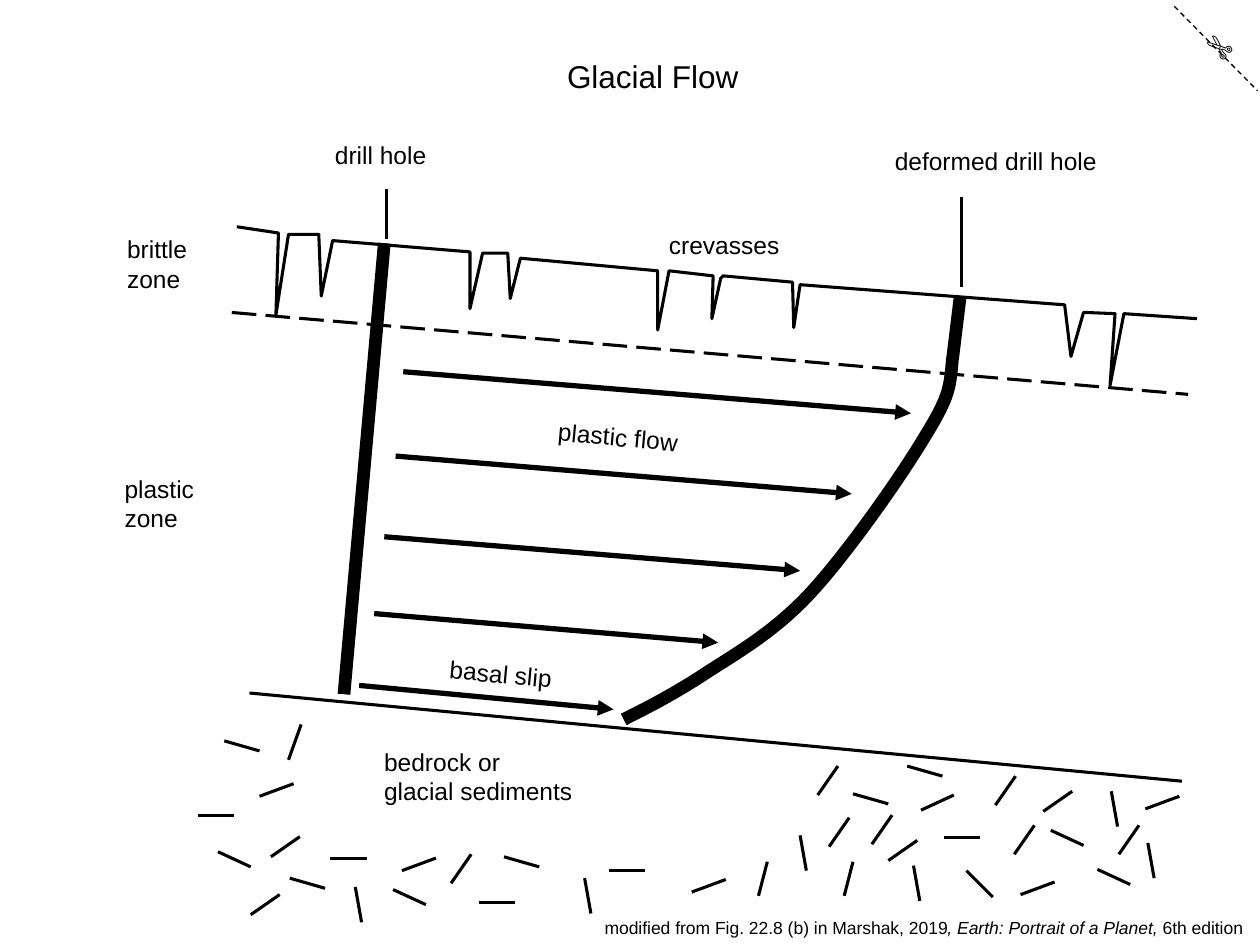
"""Build the Glacial Flow diagram slide."""
from lxml.etree import SubElement
from pptx import Presentation
from pptx.dml.color import RGBColor
from pptx.enum.dml import MSO_LINE
from pptx.enum.text import MSO_ANCHOR, PP_ALIGN
from pptx.oxml.ns import qn
from pptx.util import Inches, Pt

BLACK = RGBColor(0, 0, 0)
WHITE = RGBColor(255, 255, 255)
SLIDE_SIZE = (10, 7.5)
THIN, ARROW, DRILL = 1.75, 3, 7.25
CURVE_STEPS = 16
FRAME = {
    "word_wrap": True,
    "vertical_anchor": MSO_ANCHOR.TOP,
    "margin_left": Inches(0.1),
    "margin_right": Inches(0.08),
    "margin_top": Inches(0.05),
    "margin_bottom": Inches(0.05),
}
FONT = {"name": "Arial", "bold": False}

TITLE = ("Glacial Flow", (4.4, 0.4, 1.65, 0.4))
SCISSORS = ("✄", (9.46, 0.18, 0.42, 0.4))
CREDIT = (
    [("modified from Fig. 22.8 (b) in Marshak, 2019", False),
     (", Earth: Portrait of a Planet, ", True),
     ("6th edition", False)],
    (4.7, 7.23, 5.3, 0.27),
)
LABELS = [
    (["crevasses"], (5.21, 1.78, 1.08, 0.34), {}),
    (["drill hole"], (2.56, 1.06, 1.3, 0.34), {}),
    (["deformed drill hole"], (6.81, 1.11, 2.17, 0.34), {"align": PP_ALIGN.CENTER}),
    (["plastic flow"], (4.33, 3.3, 1.16, 0.34), {"rotation": 5.2}),
    (["basal slip"], (3.47, 5.18, 1.02, 0.34), {"rotation": 5.2}),
    (["brittle", "zone"], (0.91, 1.81, 0.68, 0.57), {}),
    (["plastic", "zone"], (0.89, 3.71, 0.76, 0.57), {}),
    (["bedrock or", "glacial sediments"], (2.95, 5.88, 1.7, 0.57), {}),
]
BOUNDARIES = [
    ((9.32, 0.05), (9.98, 0.72), 0.75, MSO_LINE.DASH),
    ((1.98, 5.5), (9.38, 6.2), THIN, None),
    ((3.05, 1.93), (2.73, 5.51), DRILL, None),
    ((7.62, 2.36), (7.56, 2.85), DRILL, None),
    ((1.84, 2.48), (9.43, 3.13), THIN, MSO_LINE.LONG_DASH),
    ((7.63, 2.28), (7.63, 1.56), THIN, None),
    ((3.07, 1.9), (3.07, 1.5), THIN, None),
]
FLOW_ARROWS = [
    ((3.2, 2.95), (7.23, 3.28)),
    ((3.14, 3.62), (6.76, 3.92)),
    ((3.05, 4.26), (6.35, 4.53)),
    ((2.97, 4.87), (5.7, 5.1)),
    ((2.85, 5.44), (4.87, 5.63)),
]
GLACIER_SURFACE = [
    (1.88, 1.8), (2.21, 1.85), (2.19, 2.5), (2.29, 1.86), (2.53, 1.86),
    (2.55, 2.35), (2.64, 1.91), (3.73, 2), (3.73, 2.45), (3.83, 2.01),
    (4.03, 2.01), (4.05, 2.37), (4.13, 2.05), (5.22, 2.15), (5.22, 2.62),
    (5.31, 2.15), (5.66, 2.19), (5.65, 2.53), (5.72, 2.21), (5.74, 2.19),
    (6.29, 2.24), (6.3, 2.6), (6.35, 2.26), (8.45, 2.42), (8.5, 2.83),
    (8.6, 2.48), (8.85, 2.49), (8.81, 3.06), (8.92, 2.49), (9.5, 2.53),
]
DEFORMED_HOLE = [
    (4.95, 5.71),
    (5.13, 5.62), (5.31, 5.53), (5.56, 5.37),
    (5.8, 5.21), (6.12, 5.04), (6.42, 4.72),
    (6.72, 4.4), (7.16, 3.77), (7.35, 3.45),
    (7.54, 3.14), (7.54, 3.07), (7.56, 2.84),
]
BEDROCK_DASHES = {
    (0.29, 0): [(7.49, 6.65), (4.83, 6.91), (1.57, 6.47), (3.8, 7.16), (2.62, 6.81)],
    (0.16, -0.23): [(6.49, 6.31), (6.92, 6.7), (8.88, 6.78), (8.05, 6.78),
                    (3.58, 7.01), (7.9, 6.39), (6.58, 6.72)],
    (0.23, -0.16): [(7.05, 6.83), (2.15, 6.8), (1.99, 7.26), (8.28, 6.44)],
    (0.26, 0.12): [(1.73, 6.76), (3.12, 7.06), (8.34, 6.59), (8.71, 6.9)],
    (0.27, -0.1): [(3.19, 6.91), (2.06, 6.32), (5.49, 7.08), (8.1, 7.1), (9.09, 6.42)],
    (0.28, 0.08): [(2.3, 6.97), (1.78, 5.88), (4, 6.8), (7.2, 6.08), (6.77, 6.3)],
    (0.05, 0.28): [(2.82, 7.04), (7.25, 6.87), (9.11, 6.69), (6.35, 6.63),
                   (4.64, 6.97), (8.82, 6.28)],
    (0.07, -0.27): [(6.7, 7.11), (6.02, 7.11)],
    (0.26, -0.12): [(7.31, 6.43)],
    (0.21, 0.21): [(7.67, 6.91)],
    (0.1, -0.28): [(2.29, 6.03)],
}


def assign(target, values):
    for name, value in values.items():
        setattr(target, name, value)


def style_line(line, width, dash=None):
    line.color.rgb = BLACK
    assign(line, {"width": Pt(width), "dash_style": dash})


def draw_line(shapes, start, end, width, dash=None, arrow=False):
    connector = shapes.add_connector(1, *map(Inches, (*start, *end)))
    style_line(connector.line, width, dash)
    if arrow:
        SubElement(connector.line._get_or_add_ln(), qn("a:tailEnd"), type="triangle")
    SubElement(connector._element.spPr, qn("a:effectLst"))


def draw_outline(shapes, points, width):
    start, *rest = [tuple(map(Inches, point)) for point in points]
    builder = shapes.build_freeform(*start)
    builder.add_line_segments(rest, close=False)
    outline = builder.convert_to_shape()
    outline.shadow.inherit = False
    outline.fill.background()
    style_line(outline.line, width)


def curve_points(controls):
    points = [controls[0]]
    for first in range(0, len(controls) - 1, 3):
        segment = controls[first:first + 4]
        for step in range(1, CURVE_STEPS + 1):
            t = step / CURVE_STEPS
            weights = ((1 - t) ** 3, 3 * t * (1 - t) ** 2, 3 * t * t * (1 - t), t ** 3)
            points.append(tuple(sum(w * p[axis] for w, p in zip(weights, segment))
                                for axis in (0, 1)))
    return points


def write_text(holder, paragraphs, size, align=PP_ALIGN.LEFT, rotation=0):
    holder.rotation = rotation
    frame = holder.text_frame
    assign(frame, FRAME)
    for index, runs in enumerate(paragraphs):
        paragraph = frame.add_paragraph() if index else frame.paragraphs[0]
        assign(paragraph, {"alignment": align, "line_spacing": 1.0, "space_before": Pt(0)})
        for text, italic in runs:
            run = paragraph.add_run()
            run.text = text
            assign(run.font, {**FONT, "size": Pt(size), "italic": italic})
            run.font.color.rgb = BLACK


def add_text(shapes, box, paragraphs, size, **options):
    write_text(shapes.add_textbox(*map(Inches, box)), paragraphs, size, **options)


def main():
    deck = Presentation()
    deck.slide_width, deck.slide_height = map(Inches, SLIDE_SIZE)
    slide = deck.slides.add_slide(deck.slide_layouts[5])
    slide.background.fill.solid()
    slide.background.fill.fore_color.rgb = WHITE
    shapes = slide.shapes

    title, title_box = TITLE
    assign(shapes.title, dict(zip(("left", "top", "width", "height"), map(Inches, title_box))))
    write_text(shapes.title, [[(title, False)]], 18)

    scissors, scissors_box = SCISSORS
    add_text(shapes, scissors_box, [[(scissors, False)]], 18, rotation=220.5)
    for start, end, width, dash in BOUNDARIES:
        draw_line(shapes, start, end, width, dash)
    draw_outline(shapes, GLACIER_SURFACE, THIN)
    for start, end in FLOW_ARROWS:
        draw_line(shapes, start, end, ARROW, arrow=True)
    for (run, rise), starts in BEDROCK_DASHES.items():
        for x, y in starts:
            draw_line(shapes, (x, y), (x + run, y + rise), THIN)
    draw_outline(shapes, curve_points(DEFORMED_HOLE), DRILL)
    for lines, box, options in LABELS:
        add_text(shapes, box, [[(line, False)] for line in lines], 14, **options)
    credit, credit_box = CREDIT
    add_text(shapes, credit_box, [credit], 10)
    deck.save("out.pptx")


if __name__ == "__main__":
    main()
